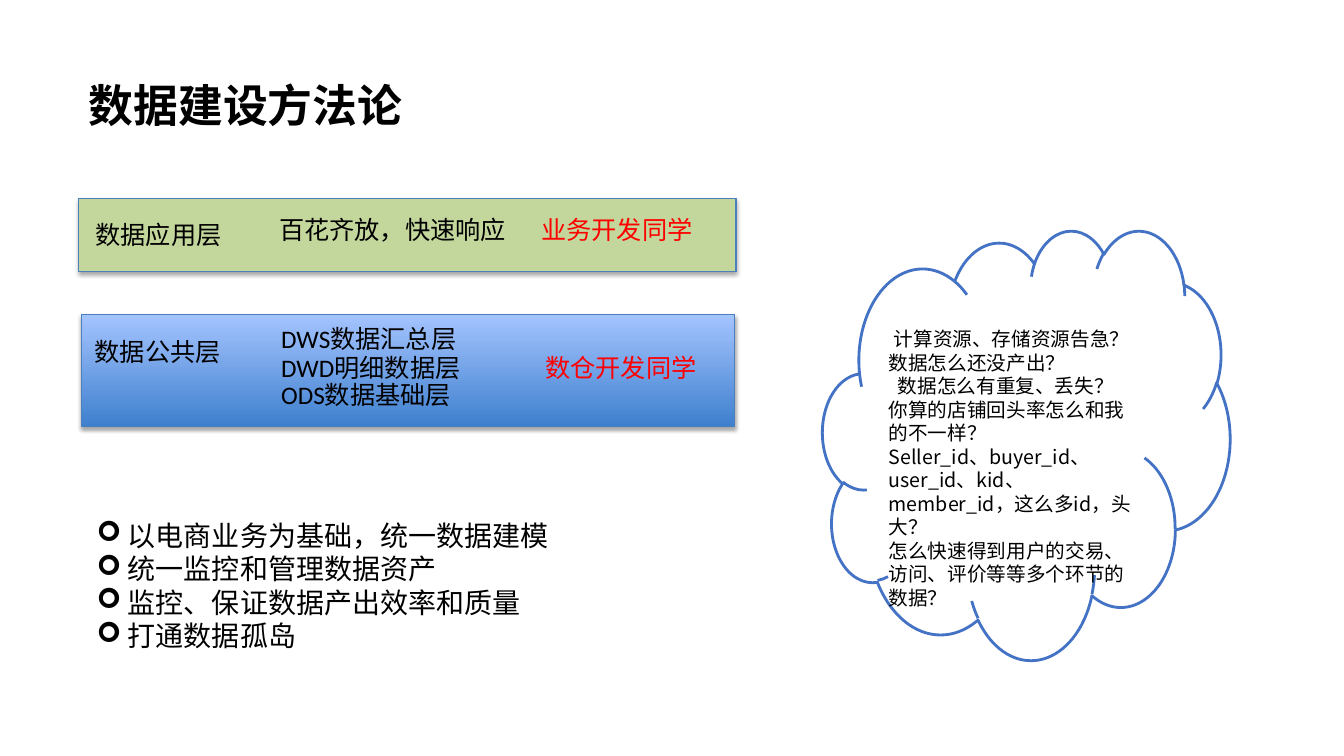
import pptx
import pptx.util
import pptx.dml.color
import pptx.enum.lang
import pptx.enum.shapes
import pptx.enum.text
import pptx.oxml
import pptx.oxml.ns

Inches = pptx.util.Inches
Pt = pptx.util.Pt

THEME = {
    "body": "Calibri", "cjk": "Noto Sans CJK JP",
    "text": "000000", "owner": "FF0000", "white": "FFFFFF",
    "app": "C3D69B", "public": ("3F80CE", "A4C4FF"),
    "band_line": "4B7EBC", "cloud_line": "4472C4",
    "title_pt": 32, "bullet_pt": 20, "label_pt": 18, "cloud_pt": 14,
    "line_pitch": 1.2,
}

TITLE = ("数据建设方法论", (0.78, 0.72, 4.05, 0.64))
BANDS = [
    ((0.81, 3.12, 6.48, 1.11), THEME["public"]),
    ((0.78, 1.97, 6.52, 0.72), THEME["app"]),
]
LABELS = [
    ("数据公共层", (0.84, 3.29, 1.8, 0.4), "text"),
    ("DWS数据汇总层", (2.69, 3.16, 2.5, 0.4), "text"),
    ("DWD明细数据层", (2.69, 3.45, 2.5, 0.4), "text"),
    ("ODS数据基础层", (2.69, 3.71, 2.5, 0.4), "text"),
    ("数仓开发同学", (5.31, 3.45, 1.93, 0.4), "owner"),
    ("数据应用层", (0.85, 2.13, 1.8, 0.4), "text"),
    ("百花齐放，快速响应", (2.67, 2.08, 2.55, 0.4), "text"),
    ("业务开发同学", (5.27, 2.08, 1.93, 0.4), "owner"),
]
GOALS = [
    "以电商业务为基础，统一数据建模",
    "统一监控和管理数据资产",
    "监控、保证数据产出效率和质量",
    "打通数据孤岛",
]
GOALS_BOX = (0.86, 5.09, 4.93, 1.45)
GOAL_INDENT = 0.31
WORRIES = [
    ("计算资源、存储资源告急？", 0.05),
    ("数据怎么还没产出？", 0),
    ("数据怎么有重复、丢失？", 0.09),
    ("你算的店铺回头率怎么和我的不一样？", 0),
    ("Seller_id、buyer_id、user_id、kid、member_id，这么多id，头大？", 0),
    ("怎么快速得到用户的交易、访问、评价等等多个环节的数据？", 0),
]
CLOUD_BOX = (8.16, 2.28, 4.04, 4.26)
CLOUD_TOP_MARGIN = 0.32


def rgb(value):
    return pptx.dml.color.RGBColor.from_string(value)


def xml(body):
    ns = pptx.oxml.ns.nsdecls("a")
    return pptx.oxml.parse_xml(body.replace(">", f" {ns}>", 1))


def write(tf, lines, size, color="text", font="cjk", bold=False):
    tf.word_wrap = True
    tf.vertical_anchor = pptx.enum.text.MSO_ANCHOR.TOP
    tf.text = "\n".join(lines)
    for p in tf.paragraphs:
        p.alignment = pptx.enum.text.PP_ALIGN.LEFT
        p.line_spacing = Pt(size * THEME["line_pitch"])
        for r in p.runs:
            r.font.size = Pt(size)
            r.font.bold = bold
            r.font.color.rgb = rgb(THEME[color])
            r.font.name = THEME[font]
            r.font.language_id = pptx.enum.lang.MSO_LANGUAGE_ID.SIMPLIFIED_CHINESE
            latin = r.font._element.find(pptx.oxml.ns.qn("a:latin"))
            latin.addnext(xml(f'<a:ea typeface="{THEME["cjk"]}"></a:ea>'))
    return tf


def add_text(s, box, lines, size, **style):
    tb = s.shapes.add_textbox(*map(Inches, box))
    return write(tb.text_frame, lines, size, **style)


def add_band(s, box, fill):
    sp = s.shapes.add_shape(pptx.enum.shapes.MSO_SHAPE.RECTANGLE, *map(Inches, box))
    if isinstance(fill, tuple):
        sp.fill.gradient()
        sp.fill.gradient_angle = 90
        for stop, color in zip(sp.fill.gradient_stops, fill):
            stop.color.rgb = rgb(color)
    else:
        sp.fill.solid()
        sp.fill.fore_color.rgb = rgb(fill)
    sp.line.color.rgb = rgb(THEME["band_line"])
    sp.line.width = Pt(0.75)
    sp._element.spPr.append(xml(
        "<a:effectLst>"
        f'<a:outerShdw blurRad="{Pt(3.1)}" dist="{Pt(1.8)}" dir="5400000" rotWithShape="0">'
        '<a:srgbClr val="000000"><a:alpha val="35000"/></a:srgbClr>'
        "</a:outerShdw></a:effectLst>"))


def add_goals(s):
    tf = add_text(s, GOALS_BOX, GOALS, THEME["bullet_pt"])
    for p in tf.paragraphs:
        pPr = p._p.get_or_add_pPr()
        pPr.set("marL", str(Inches(GOAL_INDENT)))
        pPr.set("indent", str(-Inches(GOAL_INDENT)))
        pPr.append(xml('<a:buFont typeface="Wingdings"></a:buFont>'))
        pPr.append(xml('<a:buChar char="➢"></a:buChar>'))


def add_cloud(s):
    sp = s.shapes.add_shape(pptx.enum.shapes.MSO_SHAPE.CLOUD, *map(Inches, CLOUD_BOX))
    sp.shadow.inherit = False
    sp.fill.solid()
    sp.fill.fore_color.rgb = rgb(THEME["white"])
    sp.line.color.rgb = rgb(THEME["cloud_line"])
    sp.line.width = Pt(2)
    tf = write(sp.text_frame, [text for text, _ in WORRIES], THEME["cloud_pt"])
    tf.margin_top = Inches(CLOUD_TOP_MARGIN)
    for p, (_, indent) in zip(tf.paragraphs, WORRIES):
        p._p.get_or_add_pPr().set("marL", str(Inches(indent)))


def main():
    prs = pptx.Presentation()
    prs.slide_width, prs.slide_height = Inches(13.33), Inches(7.5)
    s = prs.slides.add_slide(prs.slide_layouts[6])
    for box, fill in BANDS:
        add_band(s, box, fill)
    for text, box, color in LABELS:
        add_text(s, box, [text], THEME["label_pt"], color=color, font="body")
    add_goals(s)
    add_cloud(s)
    text, box = TITLE
    add_text(s, box, [text], THEME["title_pt"], bold=True)
    prs.save("out.pptx")


if __name__ == "__main__":
    main()
